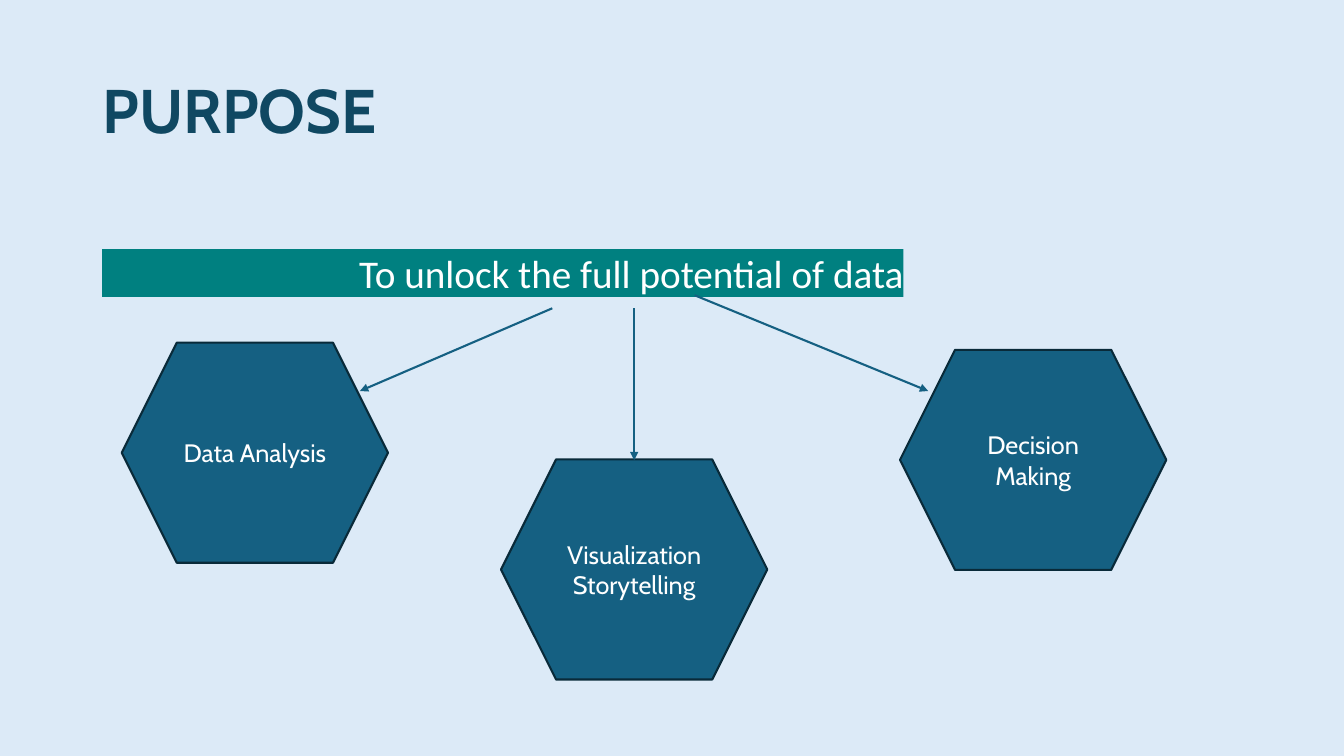
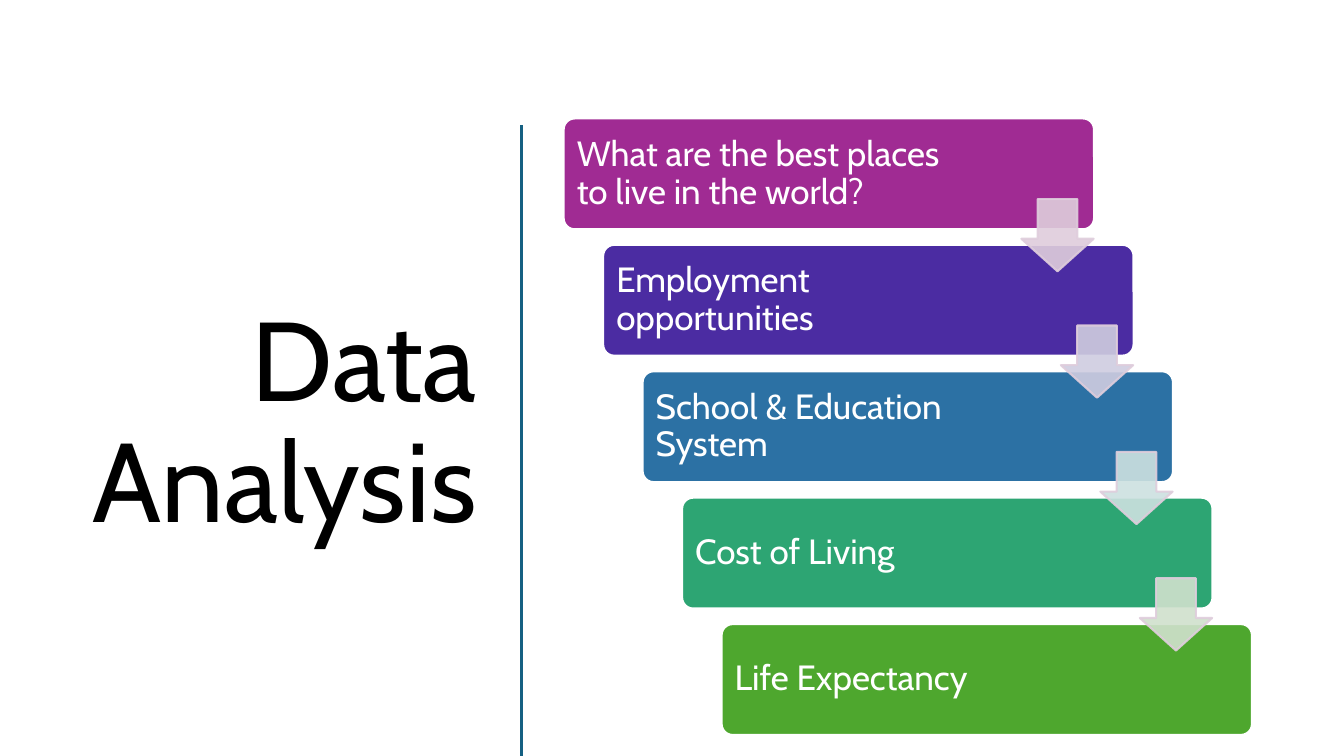
"""Build two slides: the purpose of a data project and its analysis steps."""
from lxml.etree import SubElement
from pptx import Presentation
from pptx.dml.color import RGBColor
from pptx.enum.shapes import MSO_CONNECTOR, MSO_SHAPE
from pptx.enum.text import MSO_ANCHOR, MSO_AUTO_SIZE, PP_ALIGN
from pptx.oxml.ns import qn
from pptx.util import Inches, Pt

COLS, ROWS = 32, 18
WHITE = RGBColor(0xFF, 0xFF, 0xFF)
BLACK = RGBColor(0x00, 0x00, 0x00)
PALE = RGBColor(0xDC, 0xEA, 0xF7)
NAVY = RGBColor(0x10, 0x48, 0x62)
BLUE = RGBColor(0x15, 0x60, 0x82)
EDGE = RGBColor(0x09, 0x2A, 0x39)
TEAL = RGBColor(0x00, 0x80, 0x80)
PURPLE = RGBColor(0xA0, 0x2B, 0x93)
INDIGO = RGBColor(0x4B, 0x2C, 0xA2)
AZURE = RGBColor(0x2C, 0x71, 0xA4)
EMERALD = RGBColor(0x2D, 0xA5, 0x73)
GREEN = RGBColor(0x4E, 0xA7, 0x2E)
PALE_PURPLE = RGBColor(0xDF, 0xCD, 0xDC)
PALE_INDIGO = RGBColor(0xCF, 0xCD, 0xE0)
PALE_AZURE = RGBColor(0xCD, 0xE1, 0xE0)
PALE_GREEN = RGBColor(0xD0, 0xE1, 0xCD)


class Deck:
    """Hold the shared style and the current slide."""

    font = "Cabin"
    outline = Pt(1.5)

    def __init__(self):
        self.prs = Presentation()
        self.prs.slide_width, self.prs.slide_height = Inches(13.33), Inches(7.5)
        self.s = None

    def x(self, cols):
        return round(self.prs.slide_width * cols / COLS)

    def y(self, rows):
        return round(self.prs.slide_height * rows / ROWS)

    def box(self, left, top, width, height):
        return self.x(left), self.y(top), self.x(width), self.y(height)

    def slide(self, layout, background):
        self.s = self.prs.slides.add_slide(self.prs.slide_layouts[layout])
        fill = self.s.background.fill
        fill.solid()
        fill.fore_color.rgb = background

    def label(self, sp, text, size, color, align, font=None, bold=False, spacing=1.0):
        tf = sp.text_frame
        tf.word_wrap = True
        tf.auto_size = MSO_AUTO_SIZE.NONE
        tf.vertical_anchor = MSO_ANCHOR.MIDDLE
        p = tf.paragraphs[0]
        p.alignment = align
        p.line_spacing = spacing
        p.space_before = Pt(0)
        r = p.add_run()
        r.text = text
        r.font.name = font or self.font
        r.font.size = Pt(size)
        r.font.bold = bold
        r.font.color.rgb = color
        return p

    def place(self, sp, area):
        sp.left, sp.top, sp.width, sp.height = self.box(*area)

    def title(self, text, area, size, color, align, bold=False):
        sp = self.s.shapes.title
        self.place(sp, area)
        self.label(sp, text, size, color, align, bold=bold, spacing=0.9)

    def band(self, text, area):
        sp = self.s.placeholders[1]
        self.place(sp, area)
        sp.fill.solid()
        sp.fill.fore_color.rgb = TEAL
        p = self.label(sp, text, 28, WHITE, PP_ALIGN.RIGHT, font="Calibri")
        tf = sp.text_frame
        tf.margin_left = tf.margin_right = tf.margin_top = tf.margin_bottom = 0
        pPr = p._p.get_or_add_pPr()
        pPr.set("marL", "0")
        pPr.set("indent", "0")
        SubElement(pPr, qn("a:buNone"))

    def shape(self, kind, area, fill, line, adjustments=()):
        sp = self.s.shapes.add_shape(kind, *self.box(*area))
        sp.shadow.inherit = False
        sp.fill.solid()
        sp.fill.fore_color.rgb = fill
        sp.line.color.rgb = line
        sp.line.width = self.outline
        for i, value in enumerate(adjustments):
            sp.adjustments[i] = value
        return sp

    def hexagon(self, text, left, top):
        sp = self.shape(MSO_SHAPE.HEXAGON, (left, top, 6.34, 5.24), BLUE, EDGE)
        self.label(sp, text, 18, WHITE, PP_ALIGN.CENTER)

    def step(self, text, area, fill):
        sp = self.shape(MSO_SHAPE.ROUNDED_RECTANGLE, area, fill, WHITE, [0.1])
        self.label(sp, text, 25, WHITE, PP_ALIGN.LEFT, spacing=0.9)
        sp.text_frame.margin_right = self.x(3.27)

    def down_arrow(self, left, top, fill):
        area = (left, top, 1.72, 1.72)
        sp = self.shape(MSO_SHAPE.DOWN_ARROW, area, fill, PALE_PURPLE, [0.55, 0.45])
        for clr in sp.element.spPr.iter(qn("a:srgbClr")):
            SubElement(clr, qn("a:alpha"), val="90000")

    def line(self, start, end, width=1.5, arrow=False):
        c = self.s.shapes.add_connector(
            MSO_CONNECTOR.STRAIGHT,
            self.x(start[0]), self.y(start[1]), self.x(end[0]), self.y(end[1]))
        c.line.color.rgb = BLUE
        c.line.width = Pt(width)
        spPr = c.element.spPr
        if arrow:
            SubElement(spPr.find(qn("a:ln")), qn("a:tailEnd"), type="triangle")
        SubElement(spPr, qn("a:effectLst"))


def purpose(deck):
    deck.slide(1, PALE)
    deck.title("PURPOSE", (2.2, 0.96, 27.6, 3.48), 44, NAVY, PP_ALIGN.LEFT, bold=True)
    deck.band("To unlock the full potential of data", (2.43, 5.93, 19.08, 1.14))
    for text, left, top in (
        ("Decision Making", 21.43, 8.33),
        ("Data Analysis", 2.9, 8.16),
        ("Visualization Storytelling", 11.93, 10.94),
    ):
        deck.hexagon(text, left, top)
    for start, end in (
        ((13.15, 7.34), (8.57, 9.31)),
        ((15.1, 7.34), (15.1, 10.96)),
        ((16.54, 7.03), (22.1, 9.31)),
    ):
        deck.line(start, end, arrow=True)


def analysis(deck):
    deck.slide(5, WHITE)
    deck.title("Data Analysis", (1.25, 2.81, 10.34, 14.66), 80, BLACK, PP_ALIGN.RIGHT)
    deck.line((12.41, 2.98), (12.41, 18), width=2)
    left, top, shift, pitch = 13.42, 2.82, 0.94, 3.01
    steps = (
        ("What are the best places to live in the world?", PURPLE),
        ("Employment opportunities", INDIGO),
        ("School & Education System", AZURE),
        ("Cost of Living", EMERALD),
        ("Life Expectancy", GREEN),
    )
    for i, (text, fill) in enumerate(steps):
        deck.step(text, (left + i * shift, top + i * pitch, 12.63, 2.64), fill)
    for i, fill in enumerate((PALE_PURPLE, PALE_INDIGO, PALE_AZURE, PALE_GREEN)):
        deck.down_arrow(left + 10.9 + i * shift, top + 1.92 + i * pitch, fill)


def main():
    deck = Deck()
    purpose(deck)
    analysis(deck)
    deck.prs.save("out.pptx")


if __name__ == "__main__":
    main()
